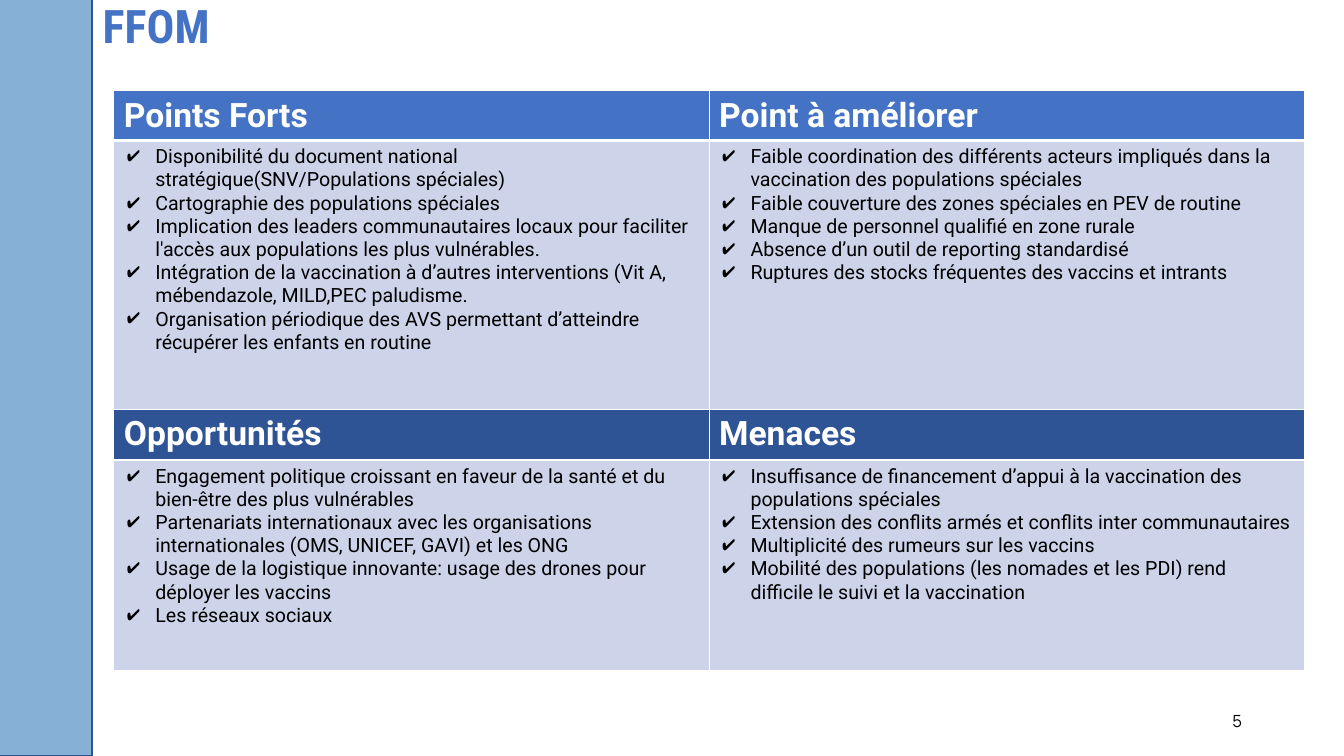
from lxml.etree import SubElement
from pptx import Presentation
from pptx.dml.color import RGBColor
from pptx.enum.shapes import MSO_SHAPE
from pptx.enum.text import MSO_ANCHOR, PP_ALIGN
from pptx.oxml.ns import qn
from pptx.util import Cm, Pt

WHITE = RGBColor(0xFF, 0xFF, 0xFF)
BLACK = RGBColor(0x00, 0x00, 0x00)
BLUE = RGBColor(0x44, 0x72, 0xC4)
DARK_BLUE = RGBColor(0x2F, 0x54, 0x96)
PALE_BLUE = RGBColor(0xCD, 0xD4, 0xEA)
SIDEBAR_FILL = RGBColor(0x86, 0xB0, 0xD6)
SIDEBAR_LINE = RGBColor(0x31, 0x53, 0x8F)

TITLE = "FFOM"
PAGE_NUMBER = "5"
# Each band holds a header colour and its quadrants, left to right.
BANDS = [
    (BLUE, [
        ("Points Forts", [
            "Disponibilité du document national stratégique(SNV/Populations spéciales)",
            "Cartographie des populations spéciales",
            "Implication des leaders communautaires locaux pour faciliter l'accès aux "
            "populations les plus vulnérables.",
            "Intégration de la vaccination à d’autres interventions (Vit A, mébendazole, "
            "MILD,PEC paludisme.",
            "Organisation périodique des AVS permettant d’atteindre récupérer les enfants "
            "en routine",
        ]),
        ("Point à améliorer", [
            "Faible coordination des différents acteurs impliqués dans la vaccination des "
            "populations spéciales",
            "Faible couverture des zones spéciales en PEV de routine",
            "Manque de personnel qualifié en zone rurale",
            "Absence d’un outil de reporting standardisé",
            "Ruptures des stocks fréquentes des vaccins et intrants",
        ]),
    ]),
    (DARK_BLUE, [
        ("Opportunités", [
            "Engagement politique croissant en faveur de la santé et du bien-être des plus "
            "vulnérables",
            "Partenariats internationaux avec les organisations internationales (OMS, "
            "UNICEF, GAVI) et les ONG",
            "Usage de la logistique innovante: usage des drones pour déployer les vaccins",
            "Les réseaux sociaux",
        ]),
        ("Menaces", [
            "Insuffisance de financement d’appui à la vaccination des populations spéciales",
            "Extension des conflits armés et conflits inter communautaires",
            "Multiplicité des rumeurs sur les vaccins",
            "Mobilité des populations (les nomades et les PDI) rend difficile le suivi et la "
            "vaccination",
        ]),
    ]),
]
ROW_HEIGHTS = [Cm(1.25), Cm(6.78), Cm(1.27), Cm(5.3)]
COLUMN_WIDTH = Cm(15)


def style_runs(paragraph, size, color, font_name, bold=False):
    for run in paragraph.runs:
        run.font.size = Pt(size)
        run.font.name = font_name
        run.font.bold = bold
        run.font.color.rgb = color


def add_label(slide, text, left, top, width, height):
    """Add a vertically centred text box and return its paragraph."""
    box = slide.shapes.add_textbox(left, top, width, height)
    frame = box.text_frame
    frame.word_wrap = True
    frame.vertical_anchor = MSO_ANCHOR.MIDDLE
    frame.text = text
    return frame.paragraphs[0]


def add_check_bullet(paragraph):
    properties = paragraph._p.get_or_add_pPr()
    properties.set("marL", str(Cm(0.79)))
    properties.set("indent", str(-Cm(0.71)))
    color = SubElement(properties, qn("a:buClr"))
    SubElement(color, qn("a:srgbClr"), val=str(BLACK))
    SubElement(properties, qn("a:buChar"), char="✔")


def set_borders(cell, top_width, bottom_width):
    properties = cell._tc.get_or_add_tcPr()
    widths = {"lnL": 1, "lnR": 1, "lnT": top_width, "lnB": bottom_width}
    for side, width in widths.items():
        line = SubElement(properties, qn(f"a:{side}"), w=str(Pt(width)))
        fill = SubElement(line, qn("a:solidFill"))
        SubElement(fill, qn("a:srgbClr"), val=str(WHITE))


def fill_cell(cell, lines, color):
    cell.fill.solid()
    cell.fill.fore_color.rgb = color
    cell.text_frame.text = "\n".join(lines)
    return cell.text_frame.paragraphs


def add_swot_table(slide):
    frame = slide.shapes.add_table(len(ROW_HEIGHTS), 2, Cm(2.87), Cm(2.29),
                                   2 * COLUMN_WIDTH, sum(ROW_HEIGHTS))
    table = frame.table
    table.horz_banding = False
    for column in table.columns:
        column.width = COLUMN_WIDTH
    for row_index, height in enumerate(ROW_HEIGHTS):
        table.rows[row_index].height = height
        for cell in table.rows[row_index].cells:
            set_borders(cell, top_width=3 if row_index == 1 else 1,
                        bottom_width=3 if row_index == 0 else 1)

    for band_index, (header_color, quadrants) in enumerate(BANDS):
        for column_index, (heading, points) in enumerate(quadrants):
            header = table.cell(2 * band_index, column_index)
            for paragraph in fill_cell(header, [heading], header_color):
                style_runs(paragraph, 24, WHITE, "Roboto", bold=True)
            body = table.cell(2 * band_index + 1, column_index)
            for paragraph in fill_cell(body, points, PALE_BLUE):
                add_check_bullet(paragraph)
                style_runs(paragraph, 14, BLACK, "Roboto")


def main():
    presentation = Presentation()
    presentation.slide_width = Cm(33.87)
    presentation.slide_height = Cm(19.05)
    slide = presentation.slides.add_slide(presentation.slide_layouts[6])

    sidebar = slide.shapes.add_shape(MSO_SHAPE.RECTANGLE, Cm(-0.13), Cm(-0.05),
                                     Cm(2.45), Cm(19.1))
    sidebar.shadow.inherit = False
    sidebar.fill.solid()
    sidebar.fill.fore_color.rgb = SIDEBAR_FILL
    sidebar.line.color.rgb = SIDEBAR_LINE
    sidebar.line.width = Pt(1)

    add_swot_table(slide)

    number = add_label(slide, PAGE_NUMBER, Cm(23.93), Cm(17.65), Cm(7.62), Cm(1.02))
    number.alignment = PP_ALIGN.RIGHT
    style_runs(number, 12, BLACK, "Manrope")

    title = add_label(slide, TITLE, Cm(2.34), Cm(-0.03), Cm(29.21), Cm(1.5))
    title.line_spacing = 0.9
    style_runs(title, 33, BLUE, "Roboto Condensed", bold=True)

    presentation.save("out.pptx")


if __name__ == "__main__":
    main()
